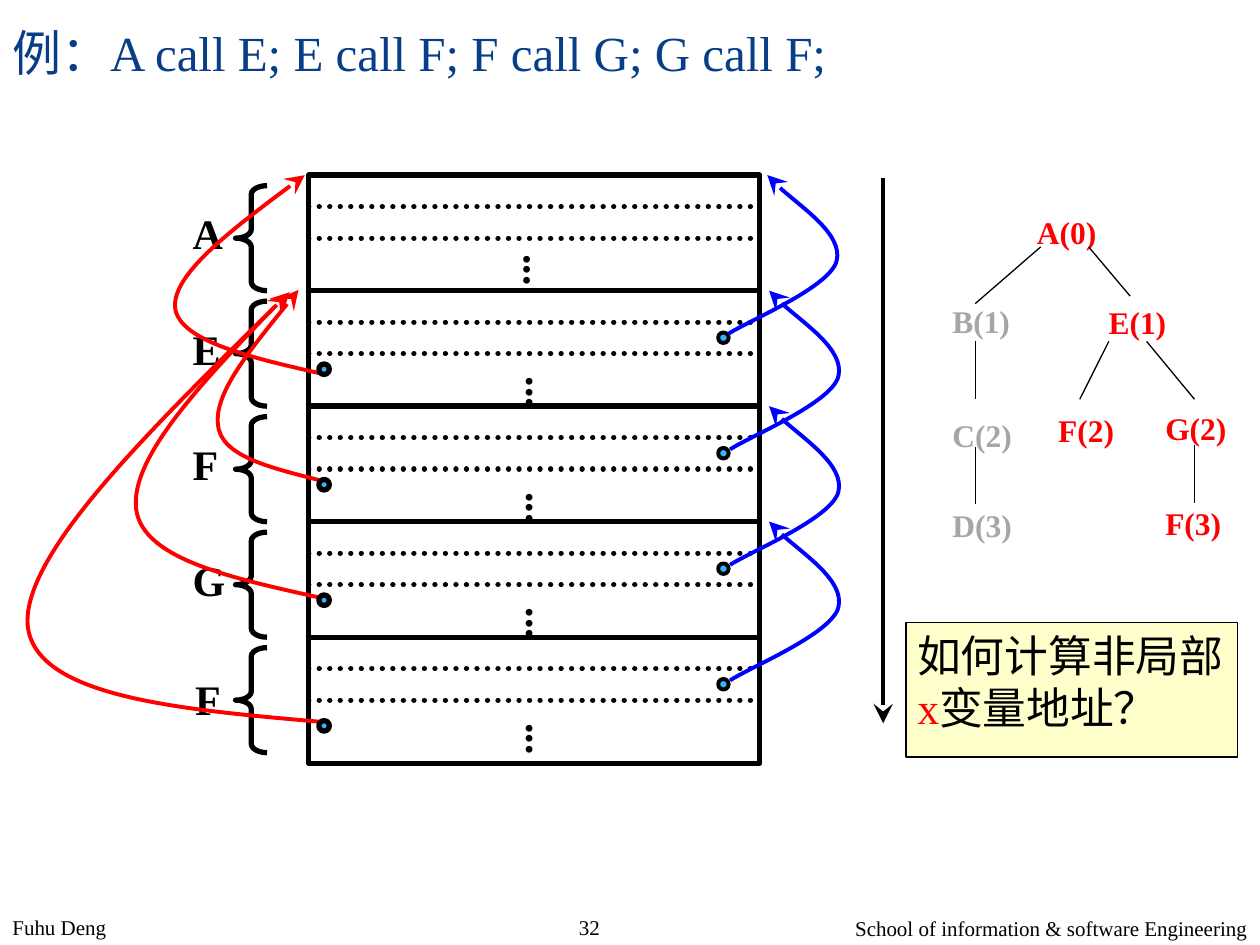
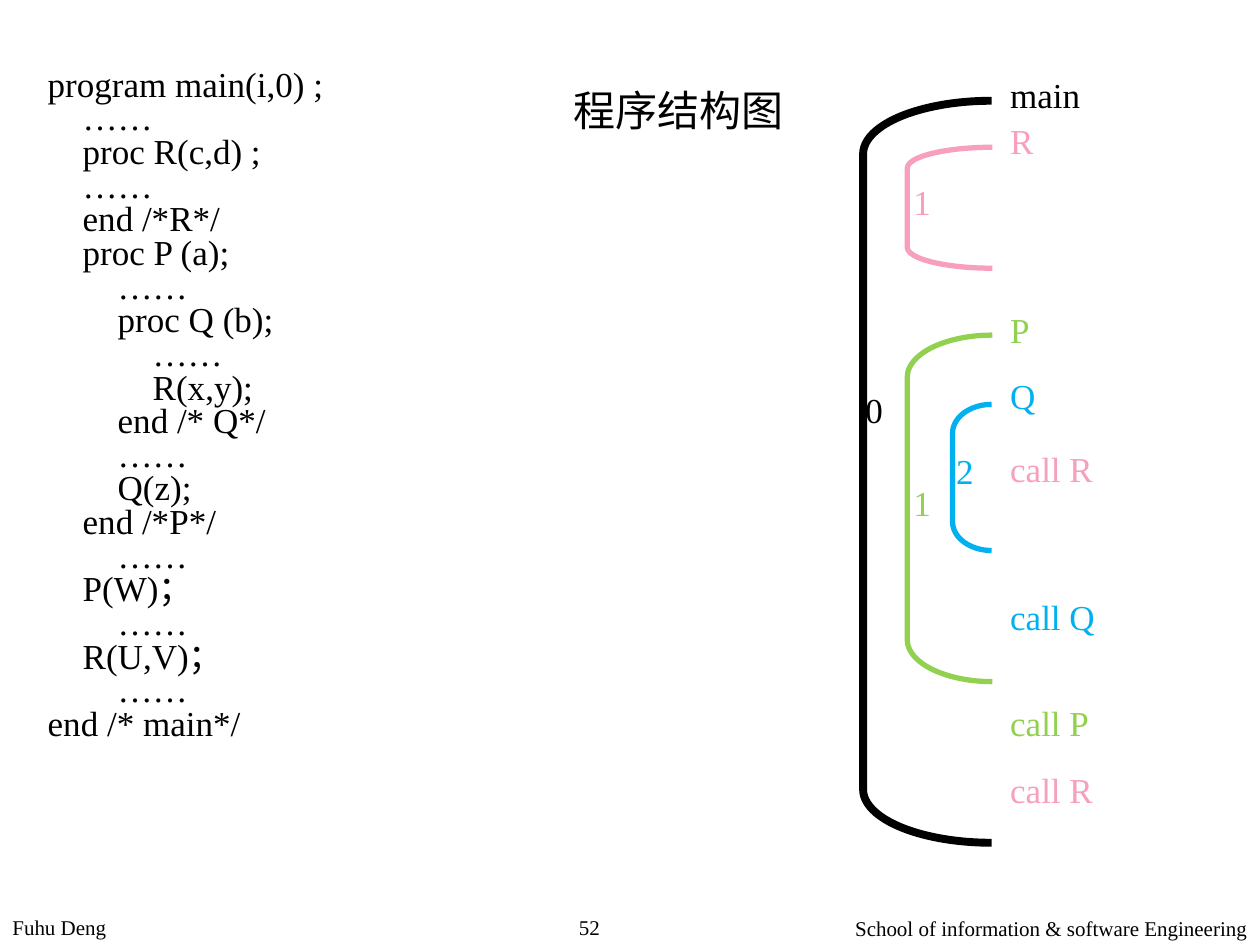
from typing import NamedTuple

from lxml.etree import SubElement
from pptx import Presentation
from pptx.dml.color import RGBColor
from pptx.enum.dml import MSO_LINE
from pptx.enum.shapes import MSO_CONNECTOR, MSO_SHAPE
from pptx.enum.text import MSO_AUTO_SIZE, PP_ALIGN
from pptx.oxml.ns import qn
from pptx.util import Pt

COLORS = {
    "black": "000000", "red": "FF0000", "blue": "0000FF", "title": "073E87",
    "gray": "A6A6A6", "node": "31B6FD", "note": "FFFFCC",
    "pink": "F89EBE", "green": "92D050", "cyan": "00B0F0",
}
FONT = "Times New Roman"
Point = tuple[float, float]


class Box(NamedTuple):
    left: float
    top: float
    width: float
    height: float


class Label(NamedTuple):
    text: str
    box: Box
    color: str = "black"
    wrap: bool = False


class Bracket(NamedTuple):
    box: Box
    curve: float
    color: str
    weight: float


def rgb(name: str) -> RGBColor:
    return RGBColor.from_string(COLORS[name])


def set_font(font, size: float, color: str, bold: bool = False) -> None:
    font.name, font.size, font.bold = FONT, Pt(size), bold
    font.color.rgb = rgb(color)


def add_text(slide, label: Label, size: float, bold: bool = False,
             align=PP_ALIGN.LEFT, grow: bool = True):
    s = slide.shapes.add_textbox(*map(Pt, label.box))
    tf = s.text_frame
    tf.text = label.text
    tf.word_wrap = label.wrap
    tf.auto_size = MSO_AUTO_SIZE.SHAPE_TO_FIT_TEXT if grow else MSO_AUTO_SIZE.NONE
    for p in tf.paragraphs:
        p.alignment = align
        set_font(p.font, size, label.color, bold)
    return s


def style_line(s, color: str, weight: float, arrow: bool = False) -> None:
    s.line.color.rgb = rgb(color)
    s.line.width = Pt(weight)
    if arrow:
        ln = s.element.xpath(".//a:ln")[0]
        SubElement(ln, qn("a:tailEnd"), type="stealth", w="lg", len="lg")


def add_line(slide, start: Point, end: Point, weight: float,
             dotted: bool = False, arrow: bool = False) -> None:
    s = slide.shapes.add_connector(MSO_CONNECTOR.STRAIGHT, *map(Pt, start + end))
    style_line(s, "black", weight, arrow)
    if dotted:
        s.line.dash_style = MSO_LINE.ROUND_DOT
        s.element.xpath(".//a:ln")[0].set("cap", "rnd")
    SubElement(s.element.spPr, qn("a:effectLst"))


def add_shape(slide, kind, box: Box, weight: float, color: str = "black",
              fill: str = "", adjust: tuple[float, ...] = ()):
    s = slide.shapes.add_shape(kind, *map(Pt, box))
    s.shadow.inherit = False
    for i, value in enumerate(adjust):
        s.adjustments[i] = value
    if fill:
        s.fill.solid()
        s.fill.fore_color.rgb = rgb(fill)
    else:
        s.fill.background()
    style_line(s, color, weight)
    return s


def add_curve(slide, points: list[Point], color: str) -> None:
    """Draw a Bezier arrow: a start, then two handles and an end per segment."""
    emu = [(Pt(x), Pt(y)) for x, y in points]
    builder = slide.shapes.build_freeform(*emu[0])
    builder.add_line_segments(emu[1:], close=False)
    s = builder.convert_to_shape()
    s.shadow.inherit = False
    s.fill.background()
    style_line(s, color, 2.25, arrow=True)
    # Regroup every three straight segments as one cubic segment
    outline = s.element.xpath(".//a:custGeom//a:path")[0]
    segments = outline.findall(qn("a:lnTo"))
    for i in range(0, len(segments), 3):
        cubic = SubElement(outline, qn("a:cubicBezTo"))
        for segment in segments[i:i + 3]:
            cubic.append(segment[0])
            outline.remove(segment)


def add_footer(slide, number: int) -> None:
    footers = (
        ("School of information & software Engineering", Box(375, 519.8, 345, 20.2), PP_ALIGN.RIGHT),
        (str(number), Box(303, 519, 67.7, 21), PP_ALIGN.CENTER),
        ("Fuhu Deng", Box(0, 519, 303, 20.2), PP_ALIGN.LEFT),
    )
    for text, box, align in footers:
        add_text(slide, Label(text, box, wrap=True), 12, align=align, grow=False)


# Call stack slide: five activation records, one band each
FRAMES = "AEFGF"
STACK = Box(176.4, 100.1, 257.8, 336.2)
BAND = 66
NODE = 6
ACCESS_LINKS = [
    [(185, 213.8), (144, 204.5), (102.2, 195.1), (100.1, 175.7),
     (98.6, 157), (136.1, 128.2), (174.2, 100.1)],
    [(182.2, 274.3), (154.1, 267.1), (126, 260.6), (124.6, 242.6),
     (122.4, 224.6), (146.9, 195.1), (170.6, 165.6)],
    [(185, 342), (133.2, 330.5), (81.4, 319.7), (77.8, 290.9),
     (74.2, 262.1), (118.8, 214.6), (164.2, 167.8)],
    [(184.3, 412.6), (101.5, 405.4), (19.4, 398.2), (15.8, 357.1),
     (13, 316.8), (89.3, 241.9), (165.6, 167)],
]
CONTROL_LINK = [(416.2, 190.8), (427, 183.6), (474.5, 164.2), (478.1, 149),
                (481.7, 133.9), (446.4, 110.2), (438.5, 100.1)]
TREE_LABELS = [
    Label("A(0)", Box(585.4, 118.1, 49, 28.8), "red"),
    Label("B(1)", Box(537.1, 169.2, 47.5, 28.8), "gray"),
    Label("C(2)", Box(537.1, 234, 49, 28.8), "gray"),
    Label("D(3)", Box(537.1, 285.8, 49, 28.8), "gray"),
    Label("E(1)", Box(626.4, 169.9, 47.5, 28.8), "red"),
    Label("F(2)", Box(597.6, 231.1, 46.8, 28.8), "red"),
    Label("G(2)", Box(658.8, 230.4, 49.7, 28.8), "red"),
    Label("F(3)", Box(658.8, 284.4, 46.8, 28.8), "red"),
]
TREE_EDGES = [
    ((594.7, 141.1), (557.3, 173.5)), ((622.1, 141.1), (645.8, 169.2)),
    ((557.3, 195.1), (557.3, 228.2)), ((557.3, 255.6), (557.3, 288)),
    ((633.6, 195.1), (617, 228.2)), ((655.2, 195.1), (682.6, 228.2)),
    ((682.6, 254.2), (682.6, 287.3)),
]


def add_stack(slide) -> None:
    add_shape(slide, MSO_SHAPE.RECTANGLE, STACK, 3)
    right = STACK.left + STACK.width
    for i, name in enumerate(FRAMES):
        top = STACK.top + i * BAND
        first, last = i == 0, i == len(FRAMES) - 1
        if not first:
            add_line(slide, (STACK.left, top), (right, top), 3)
        for y in (top + 18, top + 36):
            add_line(slide, (STACK.left, y), (right, y), 3, dotted=True)
        add_shape(slide, MSO_SHAPE.LEFT_BRACE, Box(134.6, top + 6, 18, 60), 3,
                  adjust=(0.277, 0.5))
        name_box = Box(104.4, top + 17.5, 30, 36) if last else Box(103, top + 15.1, 32, 36)
        add_text(slide, Label(name, name_box), 24, bold=True)
        dots_box = Box(283, top + 38.1, 44, 25.2) if first else Box(284.4, top + 42, 44, 25.2)
        s = add_text(slide, Label("...", dots_box), 24, bold=True)
        s.text_frame._txBody.bodyPr.set("vert", "eaVert")


def add_links(slide) -> None:
    for i, points in enumerate(ACCESS_LINKS):
        add_shape(slide, MSO_SHAPE.OVAL, Box(410.4, 190 + i * BAND, NODE, NODE), 2.25, fill="node")
        shift = 1 if i else 0
        add_curve(slide, [(x + shift, y + i * BAND) for x, y in CONTROL_LINK], "blue")
        add_curve(slide, points, "red")
        node_top = 411.8 if i == 3 else 208 + i * BAND
        add_shape(slide, MSO_SHAPE.OVAL, Box(182.2, node_top, NODE, NODE), 3, fill="node")


def add_question(slide) -> None:
    s = add_shape(slide, MSO_SHAPE.RECTANGLE, Box(517.7, 355.7, 189.4, 77), 0.75, fill="note")
    tf = s.text_frame
    tf.word_wrap = True
    tf.margin_left = tf.margin_right = Pt(6.5)
    tf.margin_top = tf.margin_bottom = Pt(3.6)
    tf.vertical_anchor = 1
    p = tf.paragraphs[0]
    p.alignment = PP_ALIGN.LEFT
    for text, color in (("如何计算非局部", "black"), ("x", "red"), ("变量地址？", "black")):
        r = p.add_run()
        r.text = text
        set_font(r.font, 25, color)


def build_call_slide(slide) -> None:
    title = Label("例：A call E; E call F; F call G; G call F;", Box(0, 9.4, 664.6, 339.8), "title", True)
    add_text(slide, title, 28, grow=False)
    add_stack(slide)
    add_links(slide)
    # Stack growth direction
    add_line(slide, (504.7, 101.5), (504.7, 413.3), 2.25, arrow=True)
    # Nesting tree
    for label in TREE_LABELS:
        add_text(slide, label, 18, bold=True)
    for start, end in TREE_EDGES:
        add_line(slide, start, end, 0.75)
    add_question(slide)
    add_footer(slide, 32)


# Program structure slide
PROGRAM = """program main(i,0) ;
    ……
    proc R(c,d) ;
    ……
    end /*R*/
    proc P (a);
        ……
        proc Q (b);
            ……
            R(x,y);
        end /* Q*/
        ……
        Q(z);
    end /*P*/
        ……
    P(W)；
        ……
    R(U,V)；
        ……
end /* main*/"""
SCOPES = [
    Bracket(Box(493.2, 57.6, 73.4, 424), 0.415, "black", 4.5),
    Bracket(Box(518.4, 191.5, 48.6, 198), 0.495, "green", 3),
    Bracket(Box(544.3, 231.1, 22.3, 83.5), 0.738, "cyan", 3),
    Bracket(Box(518.4, 84.2, 48.6, 69.1), 0.246, "pink", 3),
]
# Text, top, colour
SCOPE_ENTRIES = [
    ("main", 38.2, "black"), ("R", 64.8, "pink"), ("P", 172.8, "green"),
    ("Q", 210.2, "cyan"), ("call R", 252, "pink"), ("call Q", 337, "cyan"),
    ("call P", 397.4, "green"), ("call R", 435.6, "pink"),
]
# Level, left, top, colour
LEVELS = [
    ("0", 487.4, 218.2, "black"), ("1", 514.8, 99.4, "pink"),
    ("1", 514.8, 271.4, "green"), ("2", 539.3, 253.4, "cyan"),
]


def build_structure_slide(slide) -> None:
    s = add_text(slide, Label(PROGRAM, Box(20.2, 36.7, 260, 395.3), wrap=True), 20)
    for p in s.text_frame.paragraphs:
        p.line_spacing = 0.8
    add_text(slide, Label("程序结构图", Box(320.4, 44.6, 135.4, 36)), 24)
    for scope in SCOPES:
        add_shape(slide, MSO_SHAPE.LEFT_BRACKET, scope.box, scope.weight, scope.color,
                  adjust=(scope.curve,))
    for text, top, color in SCOPE_ENTRIES:
        add_text(slide, Label(text, Box(570.2, top, 75.6, 31.7), color, True), 20)
    for text, left, top, color in LEVELS:
        add_text(slide, Label(text, Box(left, top, 24.5, 31.7), color), 20)
    add_footer(slide, 52)


def main() -> None:
    prs = Presentation()
    prs.slide_width, prs.slide_height = Pt(720), Pt(540)
    for build in (build_call_slide, build_structure_slide):
        build(prs.slides.add_slide(prs.slide_layouts[6]))
    prs.save("out.pptx")


if __name__ == "__main__":
    main()
